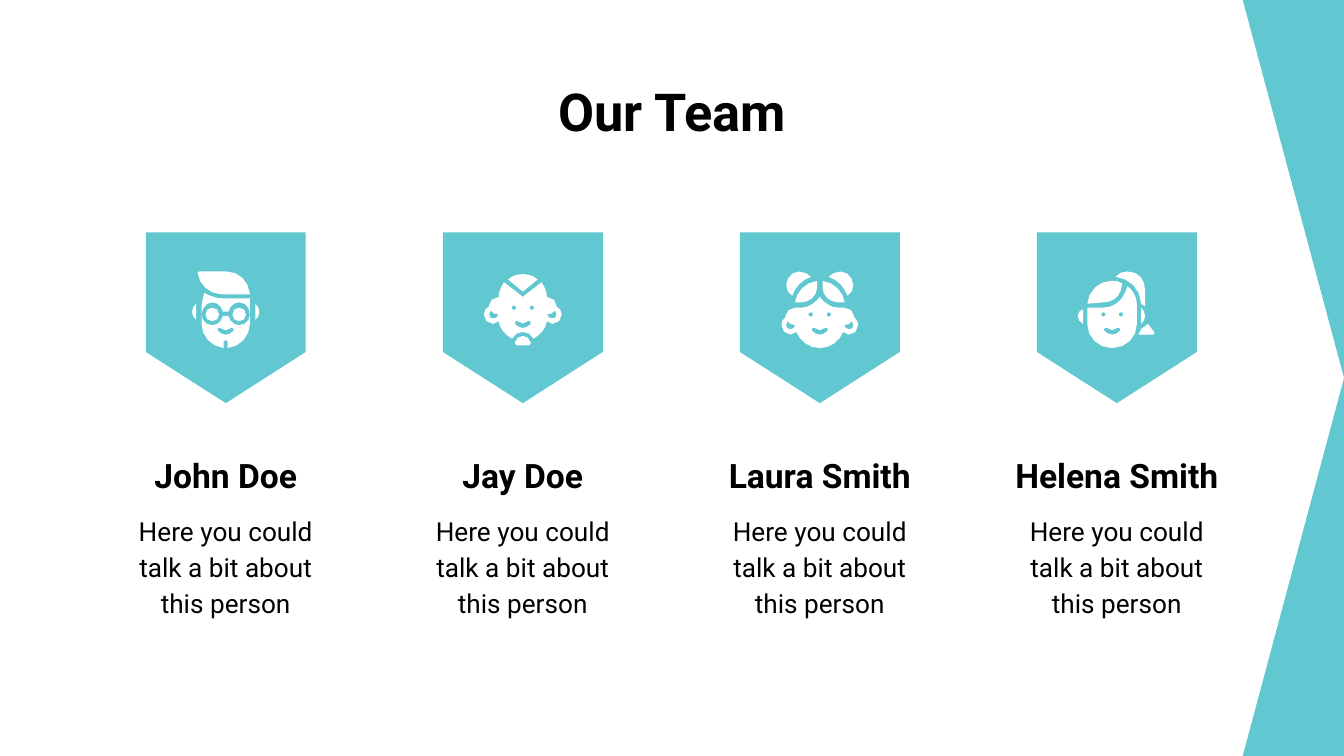
import math

import pptx
import pptx.util
import pptx.dml.color
import pptx.enum.shapes
import pptx.enum.text

Inches = pptx.util.Inches
COLORS = {"teal": "61C7D0", "white": "FFFFFF", "black": "000000"}
FONT = "Roboto"
TITLE = "Our Team"
ABOUT = "Here you could talk a bit about this person"

EYE = "M0 -1.7 L1.5 -0.9 L1.5 0.9 L0 1.7 L-1.5 0.9 L-1.5 -0.9"
LENS = "M0 -5 C3 -5 5 -3 5 0 C5 3 3 5 0 5 C-3 5 -5 3 -5 0 C-5 -3 -3 -5 0 -5"
SMILE = "M-4 0 L0 1.7 L4 0 L5.5 0 L6 2 L3 4.3 L0 5 L-3 4.3 L-6 2 L-5.5 0"
INNER_EAR = "M-24 0 L-21.5 2.2 L-18 3 L-19.5 5.2 L-22 6 L-24.2 5.2 L-25 3"
SIDE_EAR = "M-22 26 L-24.2 28.5 L-25 32 L-24.2 35.5 L-22 38"
BUN = ("M15.5 2 C11.5 2 8.5 4 6.5 6 C13.5 8 18.5 14 20.5 20 "
       "C23.5 18 25 16 25 12 C25 7 20.5 2 15.5 2")
FRINGE = "M2 9 L2 14 C2 20 7.5 25 13.5 25 L18.5 25 C17.5 17 10.5 10 2 9"


def at(outline, x=0, y=0, side=1):
    return outline, x, y, side


def both(outline, x=0, y=0):
    return [at(outline, -x, y), at(outline, x, y, -1)]


JOHN = [
    *[[ear] for ear in both(SIDE_EAR)],
    [at("M-20 2 L-21 3 C-20 12 -12 19 -3 19 L18 19 C17 9 10 2 0 2")],
    *[[lens] for lens in both(LENS, 10, 34)],
    [at("M-18 34 L-18 41 C-18 50 -11 58 -1.5 59 L-1.5 54 L0 53 "
        "L1.5 54 L1.5 59 C11 58 18 50 18 41 L18 34 C18 38 15 42 10 42 "
        "C6 42 3 39 2 35 L-2 35 C-3 39 -6 42 -10 42 C-15 42 -18 38 -18 34"),
     at(SMILE, 0, 44)],
    [at("M-16 18 L-18 27 L-18 34 C-18 29 -14 25 -10 25 "
        "C-6 25 -3 28 -2 32 L2 32 C3 28 6 25 10 25 C15 25 18 29 18 34 "
        "L18 22 L-3 22 C-8 22 -12 20 -16 18")],
]
JAY = [
    [at("M0 50 C-3 50 -5 52 -6 55 L-5 57 L5 57 L6 55 C5 52 3 50 0 50")],
    [at("M0 4 C-4 4 -8 5 -11 8 L0 17 L11 8 C8 5 4 4 0 4")],
    [at("M-14 10 C-16 13 -18 17 -18 21 C-22 21 -25 24 -25 27 L-25 28 "
        "C-27 29 -29 31 -29 34 C-29 38 -26 41 -22 41 L-18 39 "
        "C-17 45 -13 49 -8 52 C-7 49 -3 47 0 47 C3 47 7 49 8 52 "
        "C13 49 17 45 18 39 L22 41 C26 41 29 38 29 34 "
        "C29 31 27 29 25 28 L25 27 C25 24 22 21 18 21 C18 17 16 13 14 10 "
        "L1 20 L0 21 L-1 20")] + both(EYE, 6.7, 29) + both(INNER_EAR, 0, 31) + [at(SMILE, 0, 39)],
]
LAURA = [
    *[[bun] for bun in both(BUN)],
    *[[fringe] for fringe in both(FRINGE)],
    [at("M0 21 C-3 25 -8 29 -14 29 L-18.5 29 C-22 29 -25.5 32 -25.5 35 L-25.5 36 "
        "C-27.5 37 -28.5 40 -28.5 42 C-28.5 46 -25.5 49 -21.5 49 "
        "L-17.5 47 C-14.5 54 -8 59 0 59 C8 59 14.5 54 17.5 47 "
        "L21.5 49 C25.5 49 28.5 46 28.5 42 C28.5 40 27.5 37 25.5 36 "
        "L25.5 35 C25.5 32 22 29 18.5 29 L14 29 C8 29 3 25 0 21"),
     *both(EYE, 6.7, 34), *both(INNER_EAR, 0, 39), at(SMILE, 0, 44)],
]
HELENA = [
    [at("M8 2 C5 2 1 3 -1 6 C9 7 18 15 18 26 L21 28 L21 16 C21 9 17 2 8 2")],
    [at("M23 41 L18 45 L16 49 L27 49 L28 48 L27 46")],
    [at("M-4 9 C-13 9 -21 16 -22 26 L-10 25 C-4 25 1 22 3 16 L4 11 C2 9 -1 9 -4 9")],
    [at("M8 13 L6 18 C4 24 -3 29 -10 29 L-22 29 L-22 41 "
        "C-22 51 -14 59 -4 59 L-3 59 C7 59 15 51 15 41 L15 27 C15 21 12 16 8 13"),
     at(EYE, -10, 34), at(EYE, 3, 34), at(SMILE, -3.5, 44)],
    [at("M18 29 L18 41 L20.2 38.5 L21 35 L20.2 31.5")],
    [at("M-25 30 L-28 32 L-29 35 L-28 38.5 L-25 41")],
]
TEAM = [("John Doe", JOHN), ("Jay Doe", JAY), ("Laura Smith", LAURA), ("Helena Smith", HELENA)]

FIRST_CENTER, PITCH = 1.68, 2.21
COLUMN_WIDTH = 1.8
BADGE_LENGTH, BADGE_WIDTH, BADGE_MIDDLE = 1.27, 1.19, 2.365
ICON_TOP = 2


def rgb(name):
    return pptx.dml.color.RGBColor.from_string(COLORS[name])


def paint(shape, color):
    shape.shadow.inherit = False
    shape.fill.solid()
    shape.fill.fore_color.rgb = rgb(color)
    shape.line.fill.background()


def trace(outline):
    points = []
    for command in outline.replace("M", "|M").replace("L", "|L").replace("C", "|C").split("|")[1:]:
        values = [float(value) for value in command[1:].split()]
        ends = list(zip(values[::2], values[1::2]))
        if command[0] != "C":
            points += ends
            continue
        curve = [points[-1], *ends]
        steps = max(1, min(4, round(math.dist(curve[0], curve[-1]) / 4)))
        for step in range(1, steps + 1):
            t = step / steps
            weights = [(1 - t) ** 3, 3 * t * (1 - t) ** 2, 3 * t * t * (1 - t), t ** 3]
            points.append(tuple(sum(w * p[axis] for w, p in zip(weights, curve)) for axis in (0, 1)))
    return points


def add_icon(page, pieces, center):
    group = page.shapes.add_group_shape()
    for piece in pieces:
        builder = None
        for outline, x, y, side in piece:
            points = [(Inches(center + (side * px + x) / 100), Inches(ICON_TOP + (py + y) / 100))
                      for px, py in trace(outline)]
            if builder is None:
                builder = group.shapes.build_freeform(*points[0])
            else:
                builder.move_to(*points[0])
            builder.add_line_segments(points[1:], close=True)
        paint(builder.convert_to_shape(), "white")


def write(box, text, size, bold=False, spacing=1.0):
    frame = box.text_frame
    frame.word_wrap = True
    frame.auto_size = pptx.enum.text.MSO_AUTO_SIZE.NONE
    frame.vertical_anchor = pptx.enum.text.MSO_ANCHOR.TOP
    frame.margin_left = frame.margin_right = Inches(0.1)
    frame.margin_top = frame.margin_bottom = Inches(0.1)
    para = frame.paragraphs[0]
    para.alignment = pptx.enum.text.PP_ALIGN.CENTER
    para.line_spacing = spacing
    span = para.add_run()
    span.text = text
    span.font.name = FONT
    span.font.size = pptx.util.Pt(size)
    span.font.bold = bold
    span.font.color.rgb = rgb("black")


def add_plate(page, left, top, width, height, point, color):
    plate = page.shapes.add_shape(pptx.enum.shapes.MSO_SHAPE.PENTAGON,
                                  Inches(left), Inches(top), Inches(width), Inches(height))
    plate.adjustments[0] = point
    paint(plate, color)
    return plate


def main():
    deck = pptx.Presentation()
    deck.slide_width, deck.slide_height = Inches(10), Inches(5.625)
    page = deck.slides.add_slide(deck.slide_layouts[5])
    page.background.fill.solid()
    page.background.fill.fore_color.rgb = rgb("teal")
    backdrop = add_plate(page, 0, 0, 10, 5.625, 0.134, "white")
    title = page.shapes.title
    title.element.addprevious(backdrop.element)
    title.left, title.top, title.width, title.height = map(Inches, (0.78, 0.49, 8.44, 0.63))
    write(title, TITLE, 28, bold=True)

    for index, (name, icon) in enumerate(TEAM):
        center = FIRST_CENTER + index * PITCH
        for text, top, height, size, bold in ((name, 3.24, 0.63, 18, True), (ABOUT, 3.7, 1.25, 14, False)):
            box = page.shapes.add_textbox(Inches(center - COLUMN_WIDTH / 2), Inches(top),
                                          Inches(COLUMN_WIDTH), Inches(height))
            write(box, text, size, bold, 1.15)
        badge = add_plate(page, center - BADGE_LENGTH / 2, BADGE_MIDDLE - BADGE_WIDTH / 2,
                          BADGE_LENGTH, BADGE_WIDTH, 0.32, "teal")
        badge.rotation = 90
        add_icon(page, icon, center)
    deck.save("out.pptx")


if __name__ == "__main__":
    main()
